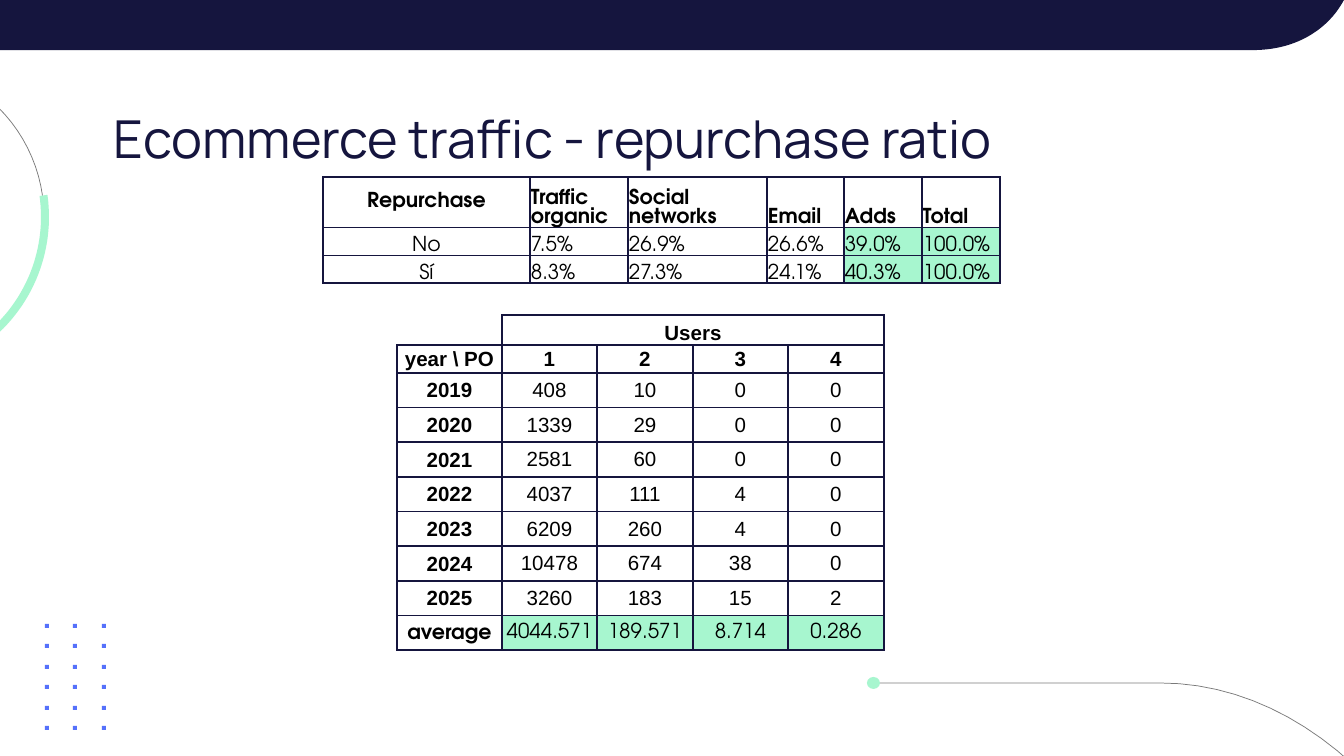
from dataclasses import dataclass
from math import cos, radians, sin

from lxml.etree import SubElement
from pptx import Presentation
from pptx.dml.color import RGBColor
from pptx.enum.shapes import MSO_SHAPE as Shape
from pptx.enum.text import MSO_ANCHOR as Anchor, PP_ALIGN as Align
from pptx.oxml.ns import qn
from pptx.util import Emu, Pt

EMU_PER_PX = 914400 / 134.4
THIN, ROOMY = (1, 1, 1, 0), (1, 5, 1, 5)


@dataclass(frozen=True)
class Theme:
    """Colours, fonts and type sizes of the slide."""
    navy: str = "15153E"
    mint: str = "A7F6CF"
    blue: str = "5571FB"
    gray: str = "7A7A7A"
    black: str = "000000"
    title_font: str = "Manrope"
    plain_font: str = "Arial"
    round_font: str = "TeX Gyre Adventor"
    title_size: int = 28
    cell_size: int = 11
    border: int = 1
    hairline: float = 0.4


THEME = Theme()

CHANNELS = [
    ["Repurchase", "Traffic\norganic", "Social networks", "Email", "Adds", "Total"],
    ["No", "7.5%", "26.9%", "26.6%", "39.0%", "100.0%"],
    ["Sí", "8.3%", "27.3%", "24.1%", "40.3%", "100.0%"],
]
USERS = [
    ["", "Users", "", "", ""],
    ["year \\ PO", "1", "2", "3", "4"],
    ["2019", "408", "10", "0", "0"],
    ["2020", "1339", "29", "0", "0"],
    ["2021", "2581", "60", "0", "0"],
    ["2022", "4037", "111", "4", "0"],
    ["2023", "6209", "260", "4", "0"],
    ["2024", "10478", "674", "38", "0"],
    ["2025", "3260", "183", "15", "2"],
    ["average", "4044.571", "189.571", "8.714", "0.286"],
]


def px(length):
    """Turn pixels into EMU."""
    return Emu(round(length * EMU_PER_PX))


def cubic(start, first, second, end, steps=32):
    """Return points along a cubic curve."""
    points = []
    for step in range(steps + 1):
        t = step / steps
        weights = ((1 - t) ** 3, 3 * t * (1 - t) ** 2, 3 * t * t * (1 - t), t ** 3)
        corners = (start, first, second, end)
        points.append(tuple(sum(w * c[axis] for w, c in zip(weights, corners))
                            for axis in (0, 1)))
    return points


def arc(center, radius, start, end, steps=72):
    """Return points along a circle between two angles in degrees."""
    angles = [radians(start + (end - start) * step / steps) for step in range(steps + 1)]
    return [(center[0] + radius * cos(a), center[1] + radius * sin(a)) for a in angles]


def paint(shape, fill=None, line=None):
    """Give a shape its fill and line, without a shadow."""
    shape.shadow.inherit = False
    if fill:
        shape.fill.solid()
        shape.fill.fore_color.rgb = RGBColor.from_string(fill)
    else:
        shape.fill.background()
    if line:
        shape.line.color.rgb = RGBColor.from_string(line)
        shape.line.width = Pt(THEME.hairline)
    else:
        shape.line.fill.background()


def add_outline(page, points, fill=None, line=None):
    """Draw a closed filled form or an open line."""
    corners = [(px(x), px(y)) for x, y in points]
    builder = page.shapes.build_freeform(*corners[0], scale=1.0)
    builder.add_line_segments(corners[1:], close=fill is not None)
    paint(builder.convert_to_shape(), fill, line)


def add_mark(page, kind, left, top, width, height, fill):
    """Add a small filled preset shape."""
    paint(page.shapes.add_shape(kind, px(left), px(top), px(width), px(height)), fill)


def format_span(span, font, size, color, bold=False):
    """Set the type of one run."""
    span.font.name = font
    span.font.size = Pt(size)
    span.font.bold = bold
    span.font.color.rgb = RGBColor.from_string(color)


def add_title(page, text):
    """Add the slide title."""
    box = page.shapes.add_textbox(px(101), px(93), px(1101), px(148))
    frame = box.text_frame
    frame.word_wrap = True
    frame.margin_left = frame.margin_top = frame.margin_right = frame.margin_bottom = px(13)
    frame.text = text
    format_span(frame.paragraphs[0].runs[0], THEME.title_font, THEME.title_size, THEME.navy)


def set_borders(cell, sides):
    """Draw the named cell sides and hide the others."""
    properties = cell._tc.get_or_add_tcPr()
    for side in "LRTB":
        line = SubElement(properties, qn(f"a:ln{side}"), w=str(Pt(THEME.border)))
        if side in sides:
            solid = SubElement(line, qn("a:solidFill"))
            SubElement(solid, qn("a:srgbClr"), val=THEME.navy)
        else:
            SubElement(line, qn("a:noFill"))


def fill_cell(cell, text, font, bold, align, anchor, insets, fill=None, sides="LRTB"):
    """Write and format one table cell."""
    cell.text_frame.text = text
    cell.vertical_anchor = anchor
    cell.margin_left, cell.margin_top, cell.margin_right, cell.margin_bottom = map(px, insets)
    for para in cell.text_frame.paragraphs:
        para.alignment = align
        for span in para.runs:
            format_span(span, font, THEME.cell_size, THEME.black, bold)
        if not para.runs:
            SubElement(para._p, qn("a:endParaRPr"), sz=str(THEME.cell_size * 100))
    set_borders(cell, sides)
    if fill:
        cell.fill.solid()
        cell.fill.fore_color.rgb = RGBColor.from_string(fill)
    else:
        cell.fill.background()


def add_grid(page, left, top, widths, heights):
    """Add an unstyled table with the given columns and rows."""
    frame = page.shapes.add_table(len(heights), len(widths), px(left), px(top),
                                  px(sum(widths)), px(sum(heights)))
    table = frame.table
    table.first_row = table.horz_banding = False
    for column, width in zip(table.columns, widths):
        column.width = px(width)
    for row, height in zip(table.rows, heights):
        row.height = px(height)
    return table


def add_channels(page):
    """Add the table of repurchase share by channel."""
    table = add_grid(page, 323, 177, [207, 98, 139, 77, 78, 78], [40, 28, 28])
    for r, row in enumerate(CHANNELS):
        for c, text in enumerate(row):
            corner = r == c == 0
            fill_cell(table.cell(r, c), text, THEME.round_font, r == 0,
                      Align.LEFT if c else Align.CENTER,
                      Anchor.MIDDLE if corner else Anchor.BOTTOM,
                      ROOMY if corner else THIN,
                      THEME.mint if r and c >= 4 else None)


def add_users(page):
    """Add the table of users by year and purchase count."""
    table = add_grid(page, 397, 315, [105, 95, 96, 95, 96], [30, 28] + [34] * 7 + [30])
    table.cell(0, 1).merge(table.cell(0, 4))
    last = len(USERS) - 1
    for r, row in enumerate(USERS):
        for c, text in enumerate(row):
            number = r > 1 and c > 0
            fill_cell(table.cell(r, c), text,
                      THEME.round_font if r == last else THEME.plain_font,
                      not number, Align.CENTER,
                      Anchor.MIDDLE if r else Anchor.BOTTOM,
                      ROOMY if number else THIN,
                      THEME.mint if number and r == last else None,
                      "LRTB" if r or c else "RB")


def add_decoration(page):
    """Add the band, ring, dots and curved line around the content."""
    add_outline(page, [(0, 0), (0, 50)] + cubic((1257, 50), (1296, 49), (1328, 30), (1344, 0)),
                fill=THEME.navy)
    add_outline(page, [(874, 683)] + cubic((1160, 683), (1365, 683), (1532, 934), (1532, 1244))
                + [(1532, 1423)], line=THEME.gray)
    add_mark(page, Shape.OVAL, 867, 677, 13, 12, THEME.mint)
    center = (-110, 217)
    add_outline(page, arc(center, 154, 82, 352), line=THEME.gray)
    add_outline(page, arc(center, 159, -8, 82) + arc(center, 151, 82, -8), fill=THEME.mint)
    for r in range(6):
        for c in range(3):
            add_mark(page, Shape.RECTANGLE, 45 + 57 * c // 2, 624 + 41 * r // 2, 4, 4, THEME.blue)


def main():
    """Build and save the slide."""
    deck = Presentation()
    deck.slide_width, deck.slide_height = px(1344), px(756)
    page = deck.slides.add_slide(deck.slide_layouts[6])
    add_decoration(page)
    add_title(page, "Ecommerce traffic - repurchase ratio")
    add_channels(page)
    add_users(page)
    deck.save("out.pptx")


if __name__ == "__main__":
    main()
